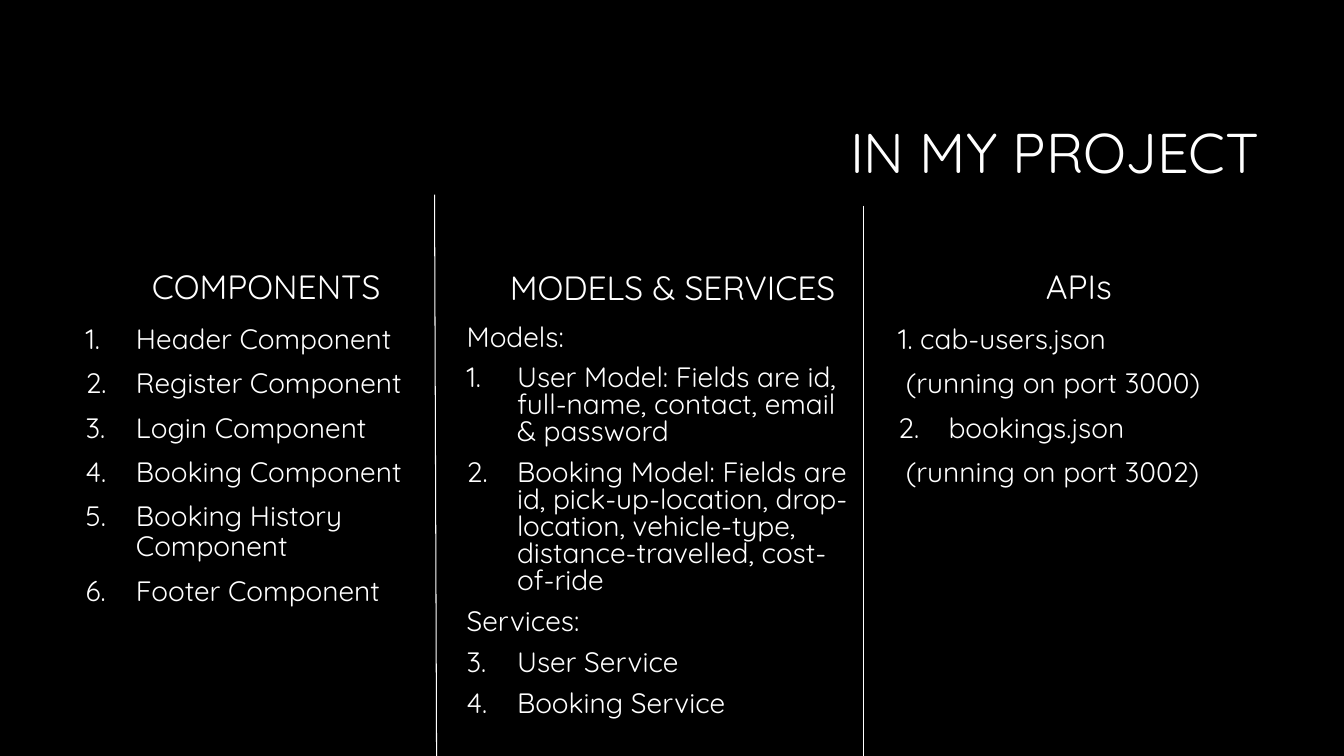
from lxml import etree
from pptx import Presentation
from pptx.dml.color import RGBColor
from pptx.enum.shapes import MSO_CONNECTOR
from pptx.enum.text import MSO_ANCHOR, MSO_AUTO_SIZE, PP_ALIGN
from pptx.oxml.ns import qn
from pptx.util import Inches, Pt

LEFT, CENTER, RIGHT = PP_ALIGN.LEFT, PP_ALIGN.CENTER, PP_ALIGN.RIGHT
TOP, MIDDLE, BOTTOM = MSO_ANCHOR.TOP, MSO_ANCHOR.MIDDLE, MSO_ANCHOR.BOTTOM
STRAIGHT = MSO_CONNECTOR.STRAIGHT
FONT, WHITE, BLACK = "Quicksand", "FFFFFF", "000000"

# Content: each line is (number its list starts at, text); None means no number
TITLE = "IN MY PROJECT"
COLUMNS = [
    {
        "heading": "COMPONENTS",
        "heading_box": (0.75, 2.41, 3.78, 0.68),
        "list_box": (0.75, 3.18, 3.78, 3.62),
        "line_spacing": 0.9,
        "lines": [
            (1, "Header Component"),
            (1, "Register Component"),
            (1, "Login Component"),
            (1, "Booking Component"),
            (1, "Booking History Component"),
            (1, "Footer Component"),
        ],
    },
    {
        "heading": "MODELS & SERVICES",
        "heading_box": (4.78, 2.41, 3.78, 0.69),
        "list_box": (4.53, 3.18, 4.03, 4.32),
        "line_spacing": 0.8,
        "lines": [
            (None, "Models:"),
            (1, "User Model: Fields are id, full-name, contact, email & password"),
            (1, "Booking Model: Fields are id, pick-up-location, drop-location, "
                "vehicle-type, distance-travelled, cost-of-ride"),
            (None, "Services:"),
            (3, "User Service"),
            (3, "Booking Service"),
        ],
    },
    {
        "heading": "APIs",
        "heading_box": (8.81, 2.4, 3.78, 0.69),
        "list_box": (8.81, 3.18, 3.78, 3.62),
        "line_spacing": 0.9,
        "lines": [
            (None, "1. cab-users.json"),
            (None, " (running on port 3000)"),
            (2, "bookings.json"),
            (None, " (running on port 3002)"),
        ],
    },
]
DIVIDERS = [(4.33, 7.5, 4.31, 1.93), (8.56, 2.04, 8.56, 7.5)]


def color(hex_value):
    return RGBColor.from_string(hex_value)


def number_paragraph(paragraph, start):
    """Give the paragraph an automatic number and a hanging indent."""
    properties = paragraph._p.get_or_add_pPr()
    properties.set("marL", str(Inches(0.5)))
    properties.set("indent", str(-Inches(0.5)))
    numbering = etree.SubElement(properties, qn("a:buAutoNum"), type="arabicPeriod")
    if start > 1:
        numbering.set("startAt", str(start))


def write(shape, lines, size, anchor, align, line_spacing=0.9, before=10):
    frame = shape.text_frame
    frame_format = {"word_wrap": True, "auto_size": MSO_AUTO_SIZE.NONE,
                    "vertical_anchor": anchor}
    for name, value in frame_format.items():
        setattr(frame, name, value)
    paragraph_format = {"alignment": align, "line_spacing": line_spacing,
                        "space_before": Pt(before)}
    font_format = {"name": FONT, "size": Pt(size)}
    for index, (start, text) in enumerate(lines):
        paragraph = frame.add_paragraph() if index else frame.paragraphs[0]
        for name, value in paragraph_format.items():
            setattr(paragraph, name, value)
        if start:
            number_paragraph(paragraph, start)
        run = paragraph.add_run()
        run.text = text
        for name, value in font_format.items():
            setattr(run.font, name, value)
        run.font.color.rgb = color(WHITE)


def add_text(slide, box, *args, **kwargs):
    write(slide.shapes.add_textbox(*map(Inches, box)), *args, **kwargs)


def add_divider(slide, ends):
    divider = slide.shapes.add_connector(STRAIGHT, *map(Inches, ends))
    divider.line.color.rgb = color(WHITE)
    divider.line.width = Pt(0.75)
    etree.SubElement(divider._element.spPr, qn("a:effectLst"))


def main():
    deck = Presentation()
    deck.slide_width, deck.slide_height = Inches(13.33), Inches(7.5)
    slide = deck.slides.add_slide(deck.slide_layouts[5])
    slide.background.fill.solid()
    slide.background.fill.fore_color.rgb = color(BLACK)

    # Title
    title = slide.shapes.title
    title.left, title.top, title.width, title.height = map(
        Inches, (3.17, 0.83, 9.42, 1.43))
    write(title, [(None, TITLE)], 40, MIDDLE, RIGHT, before=0)

    # Columns: heading above, list below
    for column in COLUMNS:
        add_text(slide, column["heading_box"], [(None, column["heading"])],
                 24, BOTTOM, CENTER)
        add_text(slide, column["list_box"], column["lines"], 20, TOP, LEFT,
                 line_spacing=column["line_spacing"])

    # Lines between the columns
    for ends in DIVIDERS:
        add_divider(slide, ends)

    deck.save("out.pptx")


if __name__ == "__main__":
    main()
